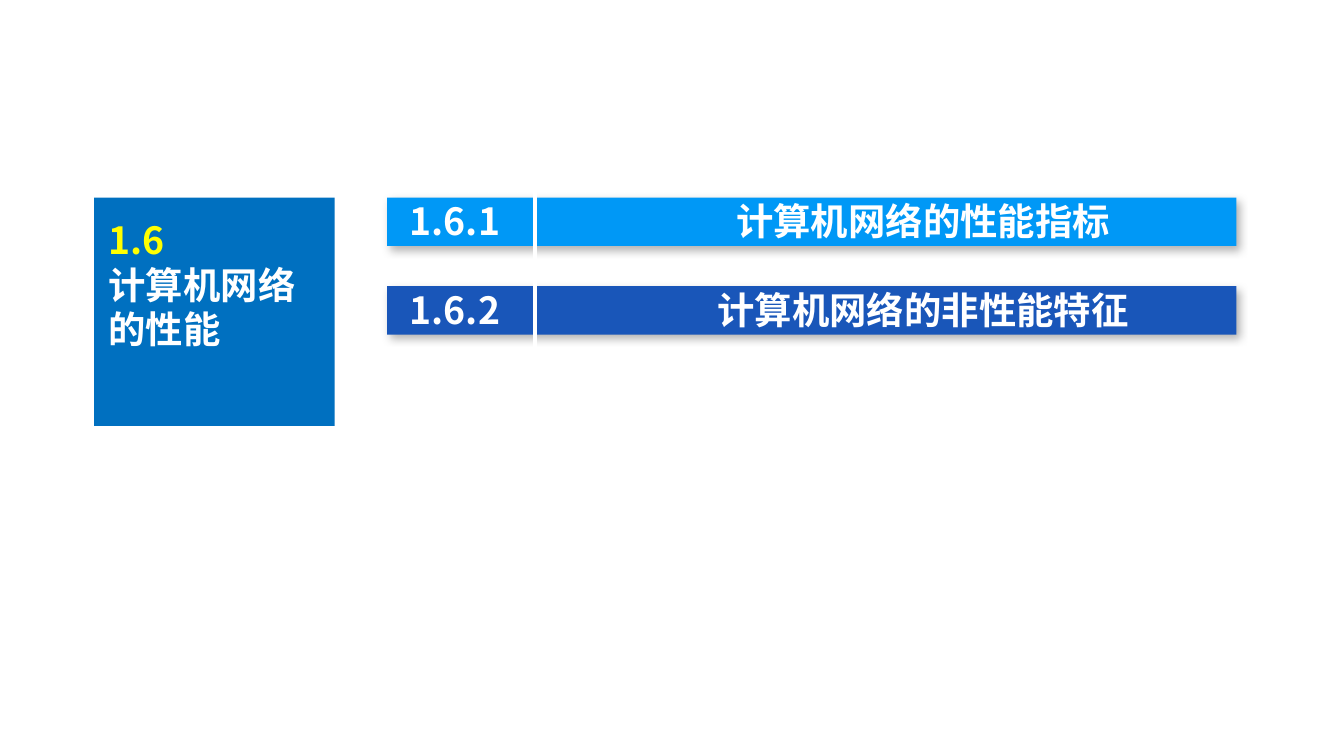
from lxml.etree import SubElement
from pptx import Presentation
from pptx.dml.color import RGBColor
from pptx.enum.shapes import MSO_CONNECTOR, MSO_SHAPE
from pptx.oxml import parse_xml
from pptx.oxml.ns import nsdecls, qn
from pptx.util import Inches, Pt

FONT = "Noto Sans CJK SC"
WHITE = "FFFFFF"
LEADING = Pt(23.8)


def color(value):
    return RGBColor.from_string(value)


def add_bar(slide, left, top, width, height, fill):
    bar = slide.shapes.add_shape(MSO_SHAPE.RECTANGLE, Inches(left), Inches(top),
                                 Inches(width), Inches(height))
    bar.shadow.inherit = False
    bar.fill.solid()
    bar.fill.fore_color.rgb = color(fill)
    bar.line.fill.background()
    return bar


def add_shadow(bar):
    effects = bar._element.spPr.find(qn("a:effectLst"))
    effects.append(parse_xml(
        f'<a:outerShdw {nsdecls("a")} blurRad="{Pt(4.5)}" dist="{Pt(2.6)}" '
        f'dir="{53 * 60000}" algn="tl" rotWithShape="0"><a:srgbClr val="000000">'
        '<a:alpha val="30000"/></a:srgbClr></a:outerShdw>'))


def add_box(slide, left, top, width, height):
    box = slide.shapes.add_textbox(Inches(left), Inches(top), Inches(width), Inches(height))
    box.text_frame.word_wrap = True
    return box.text_frame


def add_run(para, text, fill=WHITE, font=FONT):
    run = para.add_run()
    run.text = text
    run.font.size = Pt(20)
    run.font.bold = True
    run.font.name = font
    run.font.color.rgb = color(fill)
    SubElement(run.font._element, qn("a:ea"), typeface=FONT)


def add_topic(slide, left, top, width, height, number, title):
    """Section panel with its number and title."""
    add_bar(slide, left, top, width, height, "0070C0")
    frame = add_box(slide, left + 0.01, top + 0.1, width - 0.01, 1.11)
    first, second = frame.paragraphs[0], frame.add_paragraph()
    first.line_spacing = second.line_spacing = LEADING
    add_run(first, number, "FFFF00")
    add_run(second, title)


def add_list(slide, left, top, width, rows):
    """Coloured bars, a divider and the numbered titles over them."""
    for i, (fill, _, _) in enumerate(rows):
        add_shadow(add_bar(slide, left, top + i * 0.66, width, 0.36, fill))

    # Divider between numbers and titles
    x = Inches(left + 1.1)
    line = slide.shapes.add_connector(MSO_CONNECTOR.STRAIGHT, x, Inches(top - 0.08),
                                      x, Inches(top + 1.21))
    line.line.color.rgb = color(WHITE)
    line.line.width = Pt(2.25)
    SubElement(line._element.spPr, qn("a:effectLst"))

    # Numbers at the left, titles centred on a tab stop
    frame = add_box(slide, left + 0.07, top - 0.04, 5.98, 1.11)
    for i, (_, number, title) in enumerate(rows):
        para = frame.add_paragraph() if i else frame.paragraphs[0]
        para.line_spacing = LEADING
        if i:
            para.space_before = LEADING
        tabs = SubElement(para._p.get_or_add_pPr(), qn("a:tabLst"))
        SubElement(tabs, qn("a:tab"), pos=str(Inches(3.82)), algn="ctr")
        add_run(para, number + "\t")
        add_run(para, title, font="Calibri")


def main():
    deck = Presentation()
    deck.slide_width = Inches(10)
    deck.slide_height = deck.slide_width * 9 // 16
    slide = deck.slides.add_slide(deck.slide_layouts[6])
    add_topic(slide, 0.7, 1.47, 1.79, 1.7, "1.6", "计算机网络的性能")
    add_list(slide, 2.88, 1.47, 6.32, [
        ("0098F6", "1.6.1", "计算机网络的性能指标"),
        ("1956B9", "1.6.2", "计算机网络的非性能特征"),
    ])
    deck.save("out.pptx")


if __name__ == "__main__":
    main()
